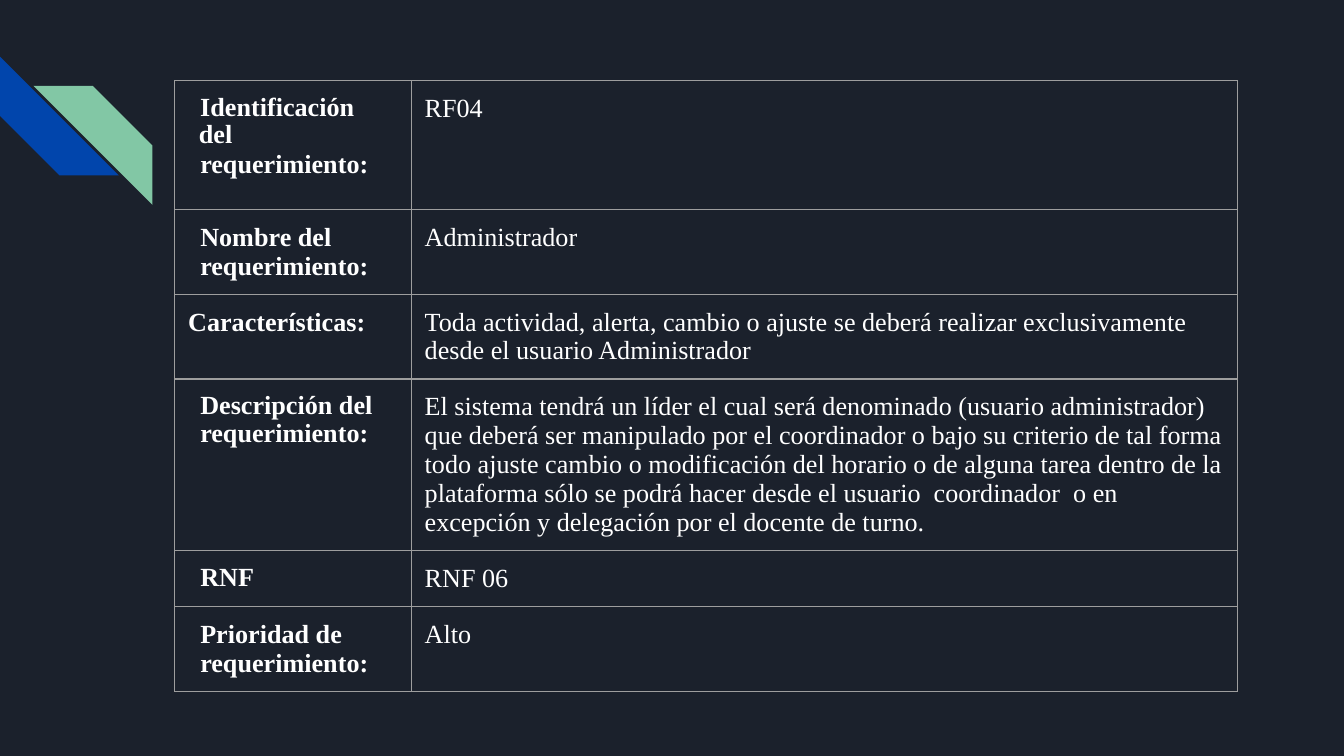
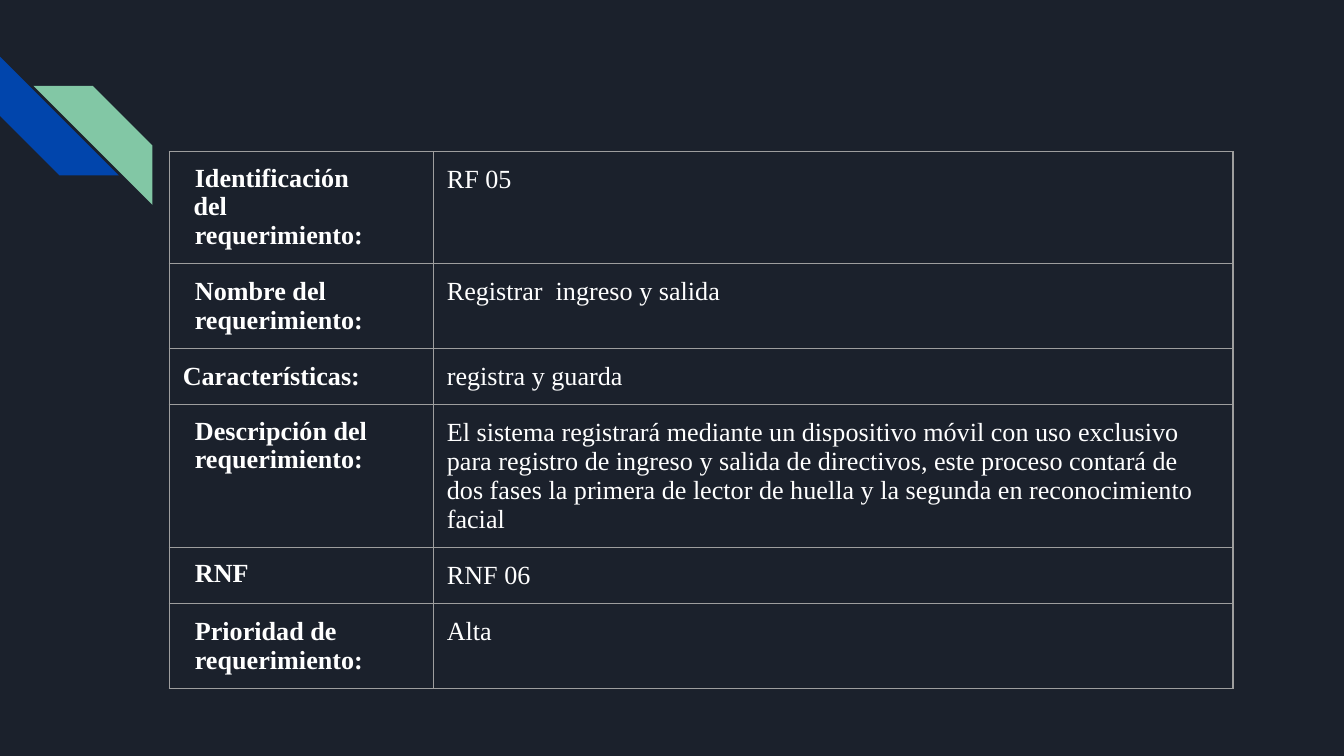
"""Build two slides of software requirement tables."""
import dataclasses
import typing

import lxml.etree
import pptx
import pptx.dml.color
import pptx.enum.shapes
import pptx.oxml.ns
import pptx.presentation
import pptx.slide
import pptx.table
import pptx.text.text
import pptx.util

EMU_PER_PX = 914400 // 200


@dataclasses.dataclass(frozen=True)
class Theme:
    background: str = "1B212C"
    blue: str = "0145AC"
    green: str = "82C7A5"
    text: str = "FFFFFF"
    border: str = "9E9E9E"
    font: str = "Times New Roman"
    text_size: float = 14
    border_width: float = 0.75


class Stripe(typing.NamedTuple):
    left: int
    top: int
    color: str
    rotation: int = 0
    flipped: bool = False


class Line(typing.NamedTuple):
    text: str
    margin: int = 18
    indent: int = 0
    spacing: float | None = None
    before: float | None = None
    right_margin: int = 0


class Requirement(typing.NamedTuple):
    left: int
    top: int
    column_widths: tuple[int, int]
    first_row_height: int
    values: tuple[str, ...]


THEME = Theme()
SLIDE_WIDTH, SLIDE_HEIGHT = 2000, 1125
STRIPE_SIZE = 177
CELL_MARGIN = 20
ROW_HEIGHT = 84
TIGHT = 0.96
STRIPES = (
    Stripe(0, 84, THEME.blue, rotation=270),
    Stripe(50, 128, THEME.green, flipped=True),
)
LABELS = (
    (
        Line("Identificación  del", 16, 2, TIGHT, right_margin=54),
        Line("requerimiento:", before=0.3),
    ),
    (Line("Nombre del"), Line("requerimiento:")),
    (Line("Características:", 0),),
    (Line("Descripción del  requerimiento:", spacing=TIGHT),),
    (Line("RNF", spacing=TIGHT),),
    (Line("Prioridad de"), Line("requerimiento:")),
)
REQUIREMENTS = (
    Requirement(260, 120, (352, 1230), 192, (
        "RF04",
        "Administrador",
        "Toda actividad, alerta, cambio o ajuste se deberá realizar exclusivamente "
        "desde el usuario Administrador",
        "El sistema tendrá un líder el cual será denominado (usuario administrador) "
        "que deberá ser manipulado por el coordinador o bajo su criterio de tal forma "
        "todo ajuste cambio o modificación del horario o de alguna tarea dentro de la "
        "plataforma sólo se podrá hacer desde el usuario  coordinador  o en "
        "excepción y delegación por el docente de turno.",
        "RNF 06",
        "Alto",
    )),
    Requirement(252, 226, (393, 1190), ROW_HEIGHT, (
        "RF 05",
        "Registrar  ingreso y salida",
        "registra y guarda",
        "El sistema registrará mediante un dispositivo móvil con uso exclusivo "
        "para registro de ingreso y salida de directivos, este proceso contará de "
        "dos fases la primera de lector de huella y la segunda en reconocimiento "
        "facial",
        "RNF 06",
        "Alta",
    )),
)


def px(value: int) -> pptx.util.Emu:
    """Turn pixels into EMU."""
    return pptx.util.Emu(value * EMU_PER_PX)


def rgb(color: str) -> pptx.dml.color.RGBColor:
    """Turn a hexadecimal colour into an RGBColor."""
    return pptx.dml.color.RGBColor.from_string(color)


def add_stripe(
    slide: pptx.slide.Slide, layout: pptx.slide.SlideLayout, stripe: Stripe
) -> None:
    """Draw a diagonal stripe and move it to the shared layout."""
    shape = slide.shapes.add_shape(
        pptx.enum.shapes.MSO_SHAPE.DIAGONAL_STRIPE,
        px(stripe.left), px(stripe.top), px(STRIPE_SIZE), px(STRIPE_SIZE),
    )
    shape.shadow.inherit = False
    shape.fill.solid()
    shape.fill.fore_color.rgb = rgb(stripe.color)
    shape.line.fill.background()
    shape.rotation = stripe.rotation
    if stripe.flipped:
        shape.element.spPr.find(pptx.oxml.ns.qn("a:xfrm")).set("flipH", "1")
    layout.shapes.element.append(shape.element)


def add_borders(cell: pptx.table._Cell) -> None:
    """Draw the four borders of a cell."""
    properties = cell._tc.get_or_add_tcPr()
    for position, side in enumerate(("lnL", "lnR", "lnT", "lnB")):
        line = lxml.etree.Element(
            pptx.oxml.ns.qn(f"a:{side}"), w=str(pptx.util.Pt(THEME.border_width))
        )
        fill = lxml.etree.SubElement(line, pptx.oxml.ns.qn("a:solidFill"))
        lxml.etree.SubElement(fill, pptx.oxml.ns.qn("a:srgbClr"), val=THEME.border)
        properties.insert(position, line)


def write_line(paragraph: pptx.text.text._Paragraph, line: Line, bold: bool) -> None:
    """Write one formatted paragraph."""
    properties = paragraph._p.get_or_add_pPr()
    properties.set("marL", str(px(line.margin)))
    properties.set("marR", str(px(line.right_margin)))
    properties.set("indent", str(px(line.indent)))
    if line.spacing is not None:
        paragraph.line_spacing = line.spacing
    if line.before is not None:
        paragraph.space_before = pptx.util.Pt(line.before)
    run = paragraph.add_run()
    run.text = line.text
    run.font.name = THEME.font
    run.font.size = pptx.util.Pt(THEME.text_size)
    run.font.bold = bold
    run.font.color.rgb = rgb(THEME.text)


def fill_cell(cell: pptx.table._Cell, lines: tuple[Line, ...], bold: bool) -> None:
    """Format a cell and write its lines."""
    cell.margin_left = cell.margin_right = px(CELL_MARGIN)
    cell.margin_top = cell.margin_bottom = px(CELL_MARGIN)
    cell.fill.background()
    add_borders(cell)
    frame = cell.text_frame
    for index, line in enumerate(lines):
        paragraph = frame.add_paragraph() if index else frame.paragraphs[0]
        write_line(paragraph, line, bold)


def add_requirement(slide: pptx.slide.Slide, requirement: Requirement) -> None:
    """Draw the table of one requirement."""
    heights = [requirement.first_row_height] + [ROW_HEIGHT] * (len(LABELS) - 1)
    table = slide.shapes.add_table(
        len(LABELS), len(requirement.column_widths),
        px(requirement.left), px(requirement.top),
        px(sum(requirement.column_widths)), px(sum(heights)),
    ).table
    table.first_row = table.horz_banding = False
    for column, width in zip(table.columns, requirement.column_widths):
        column.width = px(width)
    for row, height, label, value in zip(
        table.rows, heights, LABELS, requirement.values
    ):
        row.height = px(height)
        fill_cell(row.cells[0], label, bold=True)
        fill_cell(row.cells[1], (Line(value, 0),), bold=False)


def main() -> None:
    """Build and save the presentation."""
    presentation = pptx.Presentation()
    presentation.slide_width = px(SLIDE_WIDTH)
    presentation.slide_height = px(SLIDE_HEIGHT)
    layout = presentation.slide_layouts.get_by_name("Blank")
    layout.background.fill.solid()
    layout.background.fill.fore_color.rgb = rgb(THEME.background)
    slides = [presentation.slides.add_slide(layout) for _ in REQUIREMENTS]
    for stripe in STRIPES:
        add_stripe(slides[0], layout, stripe)
    for slide, requirement in zip(slides, REQUIREMENTS):
        add_requirement(slide, requirement)
    presentation.save("out.pptx")


if __name__ == "__main__":
    main()
